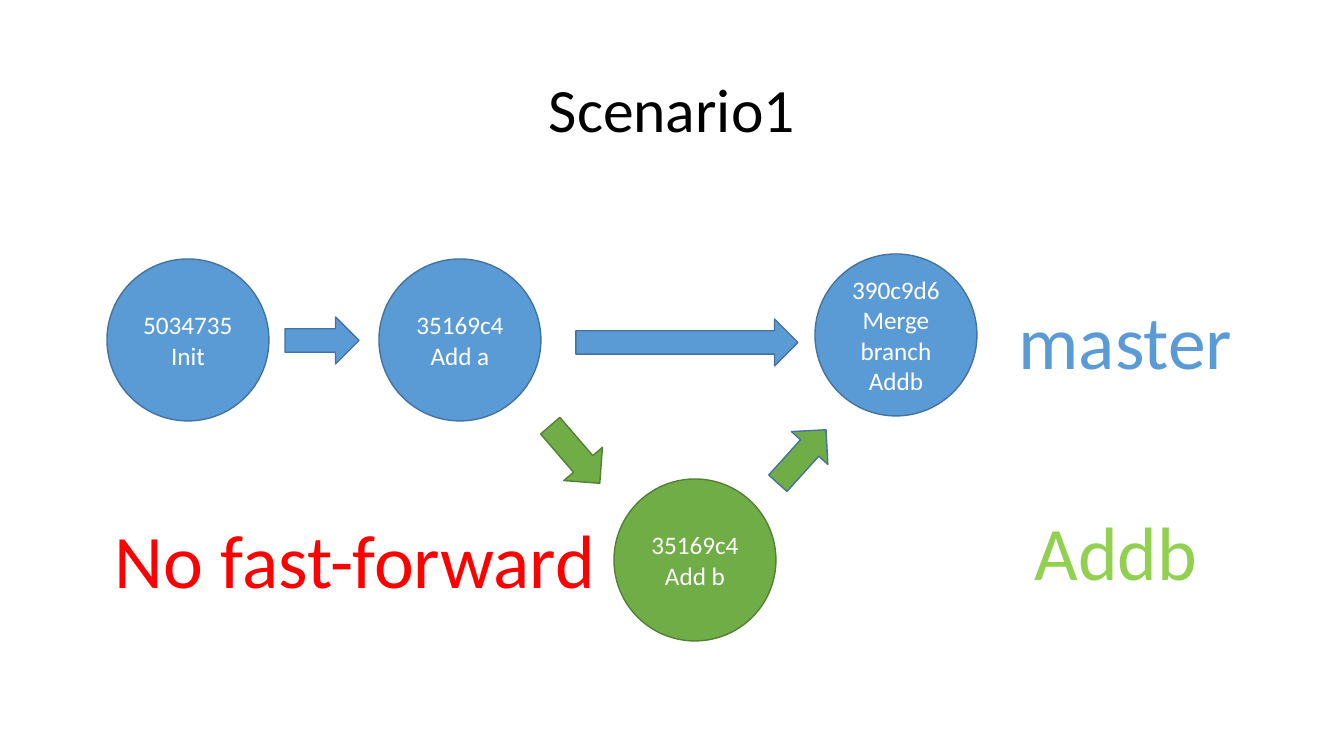
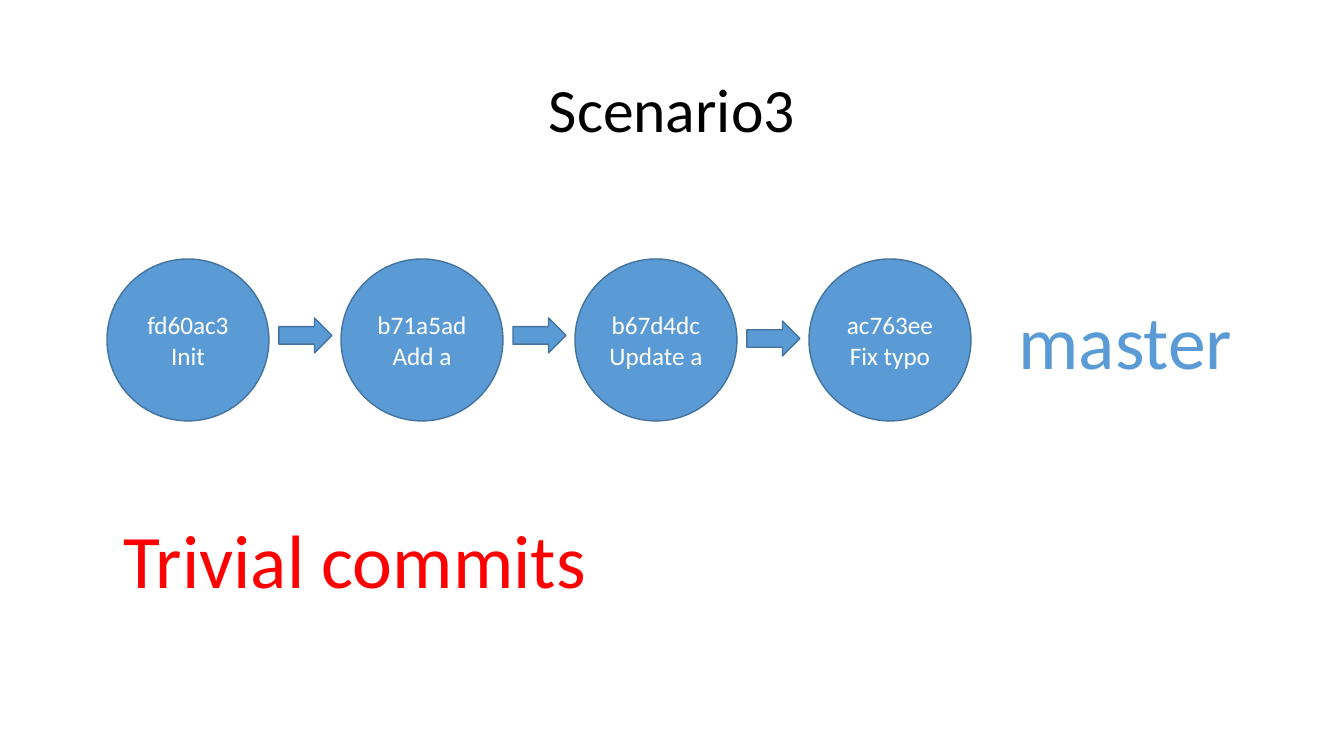
from pptx import Presentation
from pptx.dml.color import RGBColor
from pptx.enum import shapes, text
from pptx.util import Emu, Pt

BLUE = RGBColor(0x5B, 0x9B, 0xD5)
NAVY = RGBColor(0x43, 0x73, 0x9E)
GREEN = RGBColor(0x70, 0xAD, 0x47)
MOSS = RGBColor(0x53, 0x80, 0x35)
LIME = RGBColor(0x92, 0xD0, 0x50)
RED = RGBColor(0xFF, 0x00, 0x00)
BLACK = RGBColor(0x00, 0x00, 0x00)
WHITE = RGBColor(0xFF, 0xFF, 0xFF)

FONT = "Calibri"
SCALE = 914400 / 100.8
SIZE = 162  # commit circle
ROW = 259   # top of the master branch


def px(*nums):
    return [Emu(round(n * SCALE)) for n in nums]


class Deck:
    def __init__(self):
        self.prs = Presentation()
        self.prs.slide_width, self.prs.slide_height = px(1344, 756)
        self.slide = None

    def page(self, title):
        self.slide = self.prs.slides.add_slide(self.prs.slide_layouts[6])
        frame = self.label(title, (92, 40, 1160, 146), BLACK, 44, True)
        frame.vertical_anchor = text.MSO_ANCHOR.MIDDLE
        frame.paragraphs[0].line_spacing = 0.9

    def words(self, frame, lines, size, color):
        for i, line in enumerate(lines):
            para = frame.add_paragraph() if i else frame.paragraphs[0]
            para.alignment = text.PP_ALIGN.CENTER
            run = para.add_run()
            run.text = line
            run.font.name = FONT
            run.font.size = Pt(size)
            run.font.color.rgb = color

    def label(self, line, box, color, size=54, wrap=False):
        frame = self.slide.shapes.add_textbox(*px(*box)).text_frame
        frame.word_wrap = wrap
        self.words(frame, [line], size, color)
        return frame

    def shape(self, kind, box, fill, edge):
        shape = self.slide.shapes.add_shape(kind, *px(*box))
        shape.shadow.inherit = False
        shape.fill.solid()
        shape.fill.fore_color.rgb = fill
        shape.line.color.rgb = edge
        shape.line.width = Pt(1)
        return shape

    def commit(self, left, top, lines, fill=BLUE, edge=NAVY):
        kind = shapes.MSO_SHAPE.FLOWCHART_CONNECTOR
        frame = self.shape(kind, (left, top, SIZE, SIZE), fill, edge).text_frame
        frame.word_wrap = True
        frame.vertical_anchor = text.MSO_ANCHOR.MIDDLE
        self.words(frame, lines, 18, WHITE)

    def arrow(self, box, fill=BLUE, edge=NAVY, turn=0):
        shape = self.shape(shapes.MSO_SHAPE.RIGHT_ARROW, box, fill, edge)
        shape.rotation = turn

    def master(self):
        self.label("master", (1007, 289, 237, 102), BLUE)

    def note(self, line):
        self.label(line, (97, 508, 516, 103), RED, wrap=True)


deck = Deck()

# Scenario 1: a side branch merged back
deck.page("Scenario1")
deck.commit(107, ROW, ["5034735", "Init"])
deck.commit(379, ROW, ["35169c4", "Add a"])
deck.commit(614, 479, ["35169c4", "Add b"], GREEN, MOSS)
deck.commit(815, 254, ["390c9d6", "Merge branch Addb"])
deck.arrow((285, 317, 74, 47))
deck.arrow((576, 319, 222, 47))
deck.arrow((537, 429, 76, 51), GREEN, MOSS, 49.3)
deck.arrow((766, 432, 72, 49), GREEN, NAVY, 312)
deck.master()
deck.label("Addb", (1024, 500, 184, 102), LIME)
deck.note("No fast-forward")

# Scenario 3: one straight line of commits
deck.page("Scenario3")
STEP = 234
commits = [("fd60ac3", "Init"), ("b71a5ad", "Add a"),
           ("b67d4dc", "Update a"), ("ac763ee", "Fix typo")]
for i, lines in enumerate(commits):
    deck.commit(107 + i * STEP, ROW, lines)
for i, top in enumerate((318, 318, 321)):
    deck.arrow((279 + i * STEP, top, 53, 35))
deck.master()
deck.note("Trivial commits")

deck.prs.save("out.pptx")
